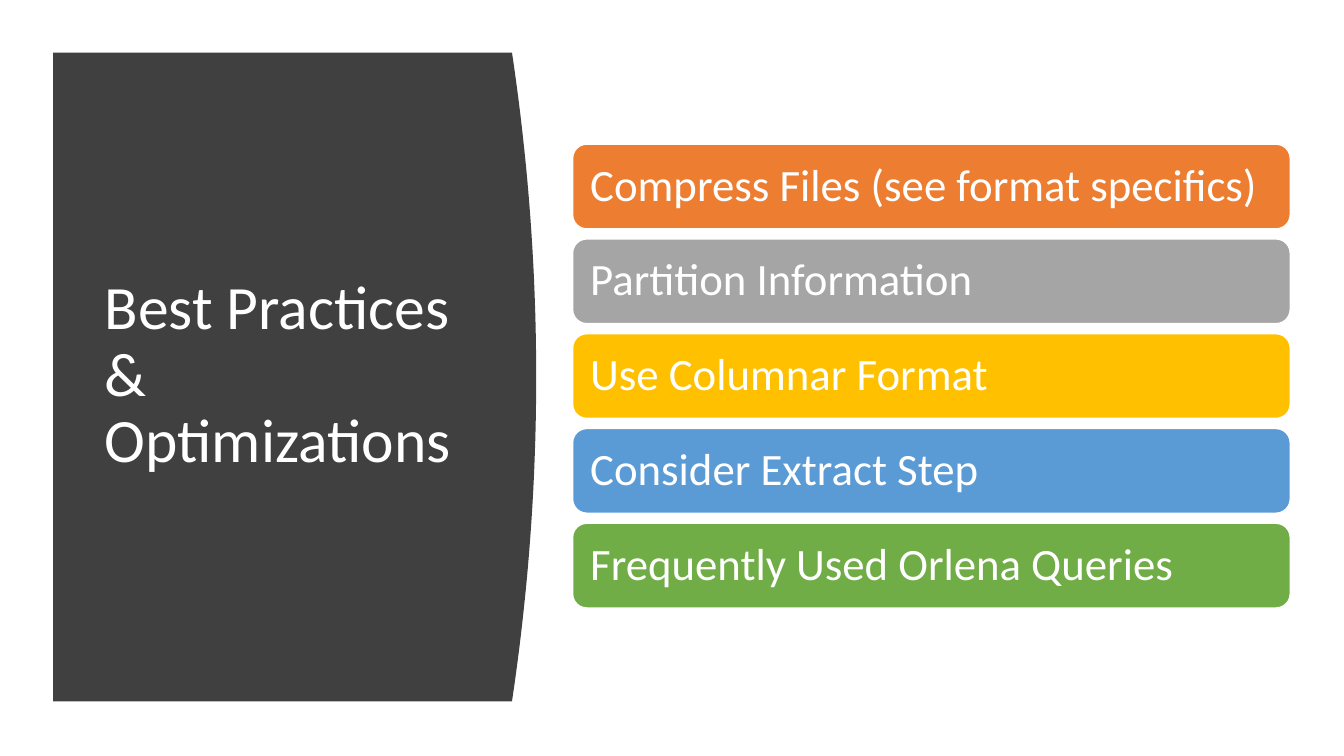
"""Build the best practices slide: a curved title panel beside five coloured bars."""
from dataclasses import dataclass

from pptx import Presentation
from pptx.dml.color import RGBColor
from pptx.enum.shapes import MSO_SHAPE
from pptx.enum.text import MSO_ANCHOR, PP_ALIGN
from pptx.util import Pt

ROUNDED = MSO_SHAPE.ROUNDED_RECTANGLE
MIDDLE = MSO_ANCHOR.MIDDLE
LEFT = PP_ALIGN.LEFT

FONT = "Calibri"
WHITE = "FFFFFF"
PANEL_GREY = "404040"

PANEL_LEFT, PANEL_TOP, PANEL_BOTTOM = 38, 37.5, 501
PANEL_EDGE, PANEL_BULGE, CURVE_STEPS = 365.7, 17.3, 40

BAR_LEFT, BAR_TOP, BAR_WIDTH, BAR_HEIGHT = 409, 103, 512.6, 60.5
BAR_PITCH, BAR_INSET = 67.7, 9.6


@dataclass(frozen=True)
class Practice:
    text: str
    fill: str


PRACTICES = [
    Practice("Compress Files (see format specifics)", "ED7D31"),
    Practice("Partition Information", "A5A5A5"),
    Practice("Use Columnar Format", "FFC000"),
    Practice("Consider Extract Step", "5B9BD5"),
    Practice("Frequently Used Orlena Queries", "70AD47"),
]


def color(hex_value: str) -> RGBColor:
    return RGBColor.from_string(hex_value)


def write(frame, text: str, size: float) -> None:
    frame.word_wrap = True
    frame.vertical_anchor = MIDDLE
    paragraph = frame.paragraphs[0]
    paragraph.alignment = LEFT
    paragraph.line_spacing = 0.9
    run = paragraph.add_run()
    run.text = text
    run.font.name = FONT
    run.font.size = Pt(size)
    run.font.color.rgb = color(WHITE)


def draw_panel(slide) -> None:
    height = PANEL_BOTTOM - PANEL_TOP
    curve = []
    for step in range(CURVE_STEPS + 1):
        share = step / CURVE_STEPS
        x = PANEL_EDGE + PANEL_BULGE * 4 * share * (1 - share)
        curve.append((Pt(x), Pt(PANEL_TOP + height * share)))
    outline = slide.shapes.build_freeform(Pt(PANEL_LEFT), Pt(PANEL_TOP))
    outline.add_line_segments(curve + [(Pt(PANEL_LEFT), Pt(PANEL_BOTTOM))], close=True)
    panel = outline.convert_to_shape()
    panel.shadow.inherit = False
    panel.fill.solid()
    panel.fill.fore_color.rgb = color(PANEL_GREY)
    panel.line.fill.background()


def draw_title(slide) -> None:
    title = slide.shapes.add_textbox(Pt(67.7), Pt(80), Pt(269.3), Pt(377.3))
    write(title.text_frame, "Best Practices & Optimizations", 44)


def draw_practice(slide, practice: Practice, top: float) -> None:
    bar = slide.shapes.add_shape(
        ROUNDED, Pt(BAR_LEFT), Pt(top), Pt(BAR_WIDTH), Pt(BAR_HEIGHT)
    )
    bar.shadow.inherit = False
    bar.fill.solid()
    bar.fill.fore_color.rgb = color(practice.fill)
    bar.line.color.rgb = color(WHITE)
    bar.line.width = Pt(1)
    frame = bar.text_frame
    frame.margin_left = frame.margin_right = Pt(BAR_INSET)
    frame.margin_top = frame.margin_bottom = Pt(BAR_INSET)
    write(frame, practice.text, 32)


def main() -> None:
    deck = Presentation()
    deck.slide_width, deck.slide_height = Pt(960), Pt(540)
    slide = deck.slides.add_slide(deck.slide_layouts[6])
    draw_panel(slide)
    draw_title(slide)
    for row, practice in enumerate(PRACTICES):
        draw_practice(slide, practice, BAR_TOP + row * BAR_PITCH)
    deck.save("out.pptx")


if __name__ == "__main__":
    main()
